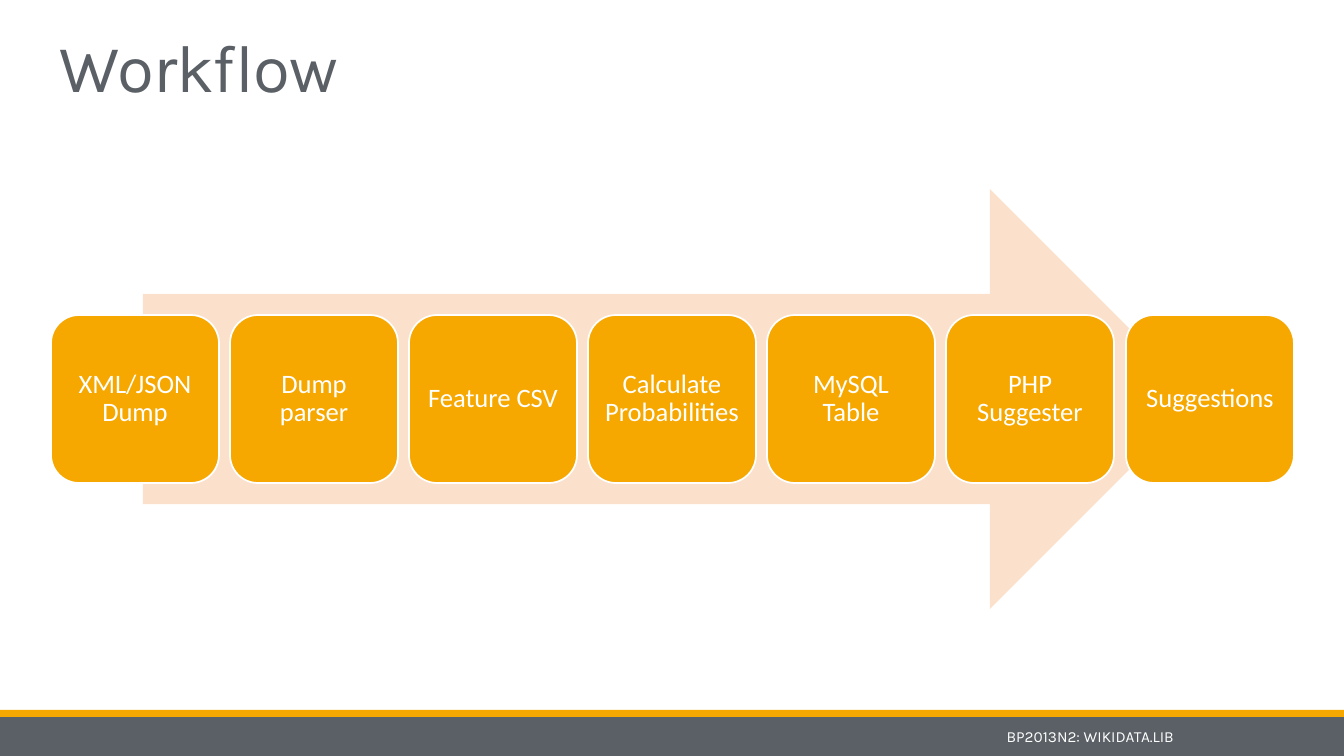
from dataclasses import dataclass

from pptx import Presentation
from pptx.dml.color import RGBColor
from pptx.enum.shapes import MSO_SHAPE
from pptx.enum.text import MSO_ANCHOR, PP_ALIGN
from pptx.util import Emu, Pt

RECT = MSO_SHAPE.RECTANGLE
ROUND = MSO_SHAPE.ROUNDED_RECTANGLE
ARROW = MSO_SHAPE.RIGHT_ARROW
LEFT, CENTER, RIGHT = PP_ALIGN.LEFT, PP_ALIGN.CENTER, PP_ALIGN.RIGHT
MIDDLE, BOTTOM = MSO_ANCHOR.MIDDLE, MSO_ANCHOR.BOTTOM

WIDTH, HEIGHT = 1344, 756
SCALE = 914400 / 100.8

STEPS = ["XML/JSON Dump", "Dump parser", "Feature CSV", "Calculate Probabilities",
         "MySQL Table", "PHP Suggester", "Suggestions"]
FIRST, LAST = 51, 1126
SIDE, TOP = 168, 315


@dataclass(frozen=True)
class Theme:
    grey: str = "5A6065"
    amber: str = "F6A800"
    peach: str = "FBE1CC"
    white: str = "FFFFFF"
    head: str = "Karla"
    body: str = "Calibri"
    title: int = 48
    step: int = 19
    foot: int = 11


def px(size):
    return Emu(round(size * SCALE))


class Deck:
    def __init__(self, theme):
        self.theme = theme
        self.file = Presentation()
        self.file.slide_width, self.file.slide_height = px(WIDTH), px(HEIGHT)
        self.slide = self.file.slides.add_slide(self.file.slide_layouts[6])

    def shape(self, kind, box, fill, line=None):
        item = self.slide.shapes.add_shape(kind, *map(px, box))
        item.shadow.inherit = False
        item.fill.solid()
        item.fill.fore_color.rgb = RGBColor.from_string(fill)
        if line:
            item.line.color.rgb = RGBColor.from_string(line)
            item.line.width = Pt(1.25)
        else:
            item.line.fill.background()
        return item

    def label(self, item, text, font, size, color, align, anchor, space=1.0):
        """Set and style the text of a shape; return its run."""
        frame = item.text_frame
        frame.text = text
        frame.word_wrap = True
        frame.vertical_anchor = anchor
        para = frame.paragraphs[0]
        para.alignment = align
        para.line_spacing = space
        run = para.runs[0]
        run.font.name = font
        run.font.size = Pt(size)
        run.font.color.rgb = RGBColor.from_string(color)
        return run

    def text(self, box, *style):
        item = self.slide.shapes.add_textbox(*map(px, box))
        return self.label(item, *style)

    def step(self, box, text):
        look = self.theme
        item = self.shape(ROUND, box, look.amber, look.white)
        frame = item.text_frame
        frame.margin_left = frame.margin_right = px(8)
        frame.margin_top = frame.margin_bottom = px(8)
        self.label(item, text, look.body, look.step, look.white, CENTER, MIDDLE, 0.9)


def main():
    look = Theme()
    deck = Deck(look)
    deck.shape(RECT, (0, 717, WIDTH, 39), look.grey)
    deck.shape(RECT, (0, 710, WIDTH, 7), look.amber)

    title = deck.text((50, 0, 1113, 111), "Workflow", look.head, look.title,
                      look.grey, LEFT, BOTTOM, 0.85)
    title._r.get_or_add_rPr().set("spc", "-50")

    deck.shape(ARROW, (143, 189, 1057, 420), look.peach)
    for i, name in enumerate(STEPS):
        left = FIRST + (LAST - FIRST) * i // (len(STEPS) - 1)
        deck.step((left, TOP, SIDE, SIDE), name)

    deck.text((160, 717, 1024, 39), "BP2013N2: WIKIDATA.LIB", look.head, look.foot,
              look.white, RIGHT, MIDDLE)
    deck.file.save("out.pptx")


if __name__ == "__main__":
    main()
